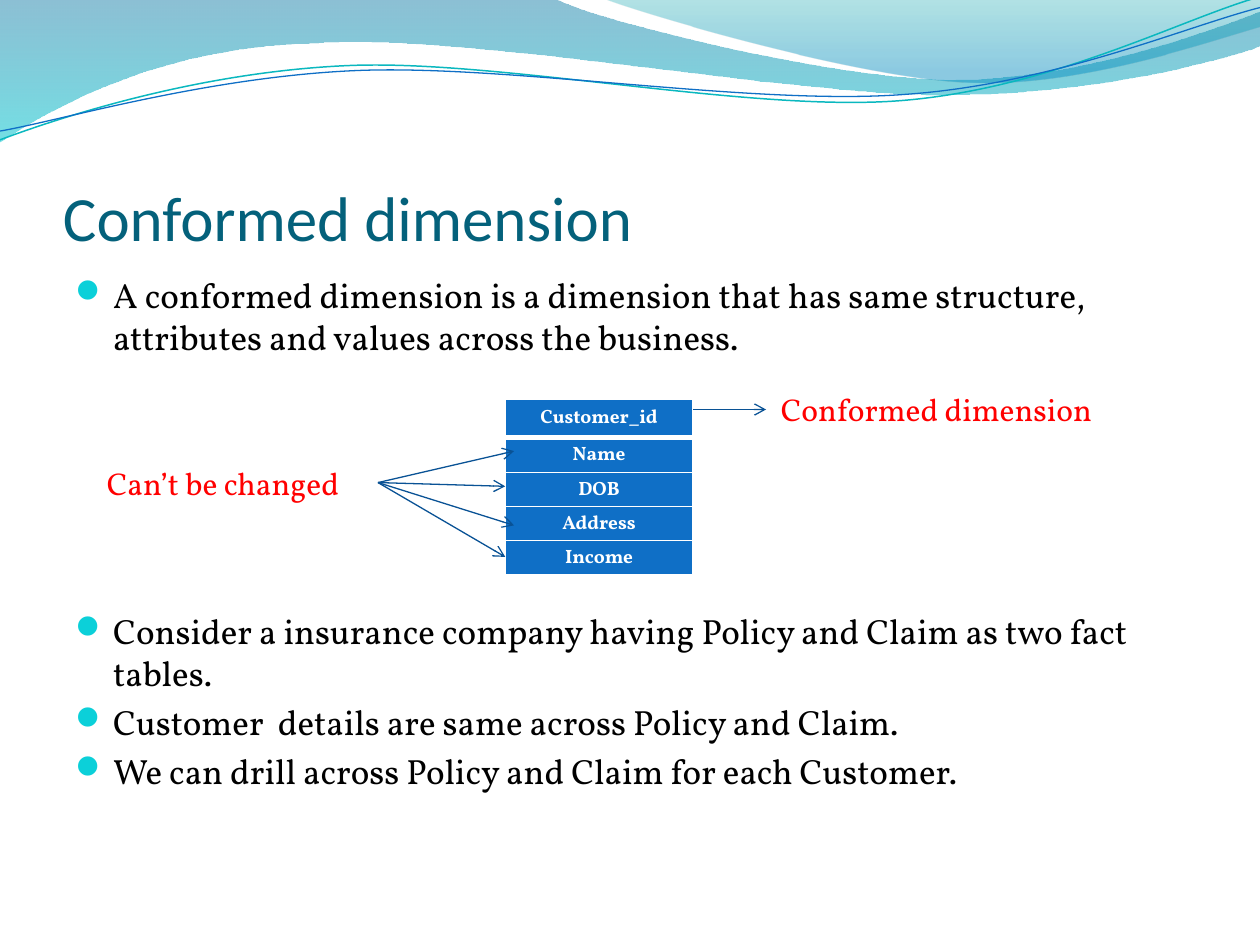
import math

import pptx
import pptx.util
import pptx.dml.color
import pptx.enum.shapes
import pptx.enum.text
import pptx.oxml
import pptx.oxml.ns
from lxml import etree

Inches, Pt = pptx.util.Inches, pptx.util.Pt
RGBColor = pptx.dml.color.RGBColor
ANCHOR, ALIGN = pptx.enum.text.MSO_ANCHOR, pptx.enum.text.PP_ALIGN
qn = pptx.oxml.ns.qn

BLUE, NAVY, TEAL = RGBColor(15, 111, 198), RGBColor(9, 82, 149), RGBColor(10, 184, 191)
TITLE, RED = RGBColor(4, 97, 123), RGBColor(255, 0, 0)
BLACK, WHITE = RGBColor(0, 0, 0), RGBColor(255, 255, 255)

# Content: bullets as (text, points before)
HEADING = "Conformed dimension"
BULLETS = [
    ("A conformed dimension is a dimension that has same structure, "
     "attributes and values across the business.", 4),
    ("Consider a insurance company having Policy and Claim as two fact tables.", 144),
    ("Customer  details are same across Policy and Claim.", 4),
    ("We can drill across Policy and Claim for each Customer.", 4),
]
FIELDS = ["Customer_id", "Name", "DOB", "Address", "Income"]
ROW_HEIGHTS = [0.3, 0.28, 0.27, 0.27, 0.27]
LABELS = [("Conformed dimension", (6.1, 3.05, 2.74, 0.4)),
          ("Can\u2019t be changed", (0.75, 3.63, 2.25, 0.4))]
FAN = (3, 3.83)
ARROWS = [((5.5, 3.25), (6.08, 3.25))] + [
    (FAN, end) for end in [(4.08, 3.58), (4.01, 3.86), (4.08, 4.17), (4.01, 4.42)]]

# Waves: 2 numbers make a straight step, 6 numbers a Bezier step
BANDS = [
    ([(0, 0), (4.4, -0.01), (4.76, 0.17, 6.64, 0.63, 7.58, 0.63),
      (8.53, 0.63, 9.58, 0.26, 10, 0.09), (10.01, 0.36),
      (9.83, 0.44, 8.7, 0.76, 7.46, 0.75), (6.22, 0.75, 3.82, 0.28, 2.57, 0.34),
      (1.29, 0.36, 0.46, 0.83, -0.01, 1.13), (0, 0)],
     [(0, RGBColor(0, 116, 161), 45), (1, RGBColor(0, 198, 207), 55)]),
    ([(4.79, -0.01), (5.09, 0.11, 6.82, 0.62, 7.69, 0.65),
      (8.56, 0.69, 9.61, 0.32, 10, 0.21), (10, 0), (4.79, -0.01)],
     [(0, RGBColor(0, 161, 169), 30), (0.8, RGBColor(0, 139, 191), 45)]),
]
TILT = 357.3
CURVES = [
    ([(0, 1.11), (0.48, 0.93, 1.58, 0.57, 2.77, 0.52), (3.95, 0.47, 5.93, 0.89, 7.13, 0.8),
      (8.33, 0.71, 9.38, 0.15, 9.98, -0.02)], (4.99, 0.575), TEAL, 0.85),
    ([(0, 1.04), (0.47, 0.96, 1.64, 0.61, 2.83, 0.56), (4.03, 0.51, 5.97, 0.84, 7.17, 0.75),
      (8.36, 0.67, 9.41, 0.21, 10, 0.06)], (4.995, 0.59), BLUE, 0.75),
]

prs = pptx.Presentation()
prs.slide_width, prs.slide_height = Inches(10), Inches(7.5)
slide = prs.slides.add_slide(prs.slide_layouts[6])
shapes = slide.shapes


def apply(obj, values):
    for name, value in values.items():
        setattr(obj, name, value)


def turn(point, center, degrees):
    c, s = math.cos(math.radians(degrees)), math.sin(math.radians(degrees))
    dx, dy = point[0] - center[0], point[1] - center[1]
    return center[0] + c * dx - s * dy, center[1] + s * dx + c * dy


def add_wave(steps, close, center=(0, 0), tilt=0):
    points = [turn(step[i:i + 2], center, -tilt)
              for step in steps for i in range(0, len(step), 2)]
    points = [(Inches(x), Inches(y)) for x, y in points]
    fb = shapes.build_freeform(*points[0])
    fb.add_line_segments(points[1:], close=close)
    sp = fb.convert_to_shape()
    # Join each three points of a Bezier step into one curve
    lines = sp._element.spPr.iter(qn("a:lnTo"))
    lines = list(lines)
    for step in steps[1:]:
        count = len(step) // 2
        part, lines = lines[:count], lines[count:]
        if count == 3:
            curve = etree.Element(qn("a:cubicBezTo"))
            part[0].addprevious(curve)
            for ln in part:
                curve.append(ln[0])
                ln.getparent().remove(ln)
    sp.rotation = tilt
    sp.shadow.inherit = False
    return sp


def write(p, text, font):
    r = p.add_run()
    r.text = text
    apply(r.font, {k: v for k, v in font.items() if k != "rgb"})
    r.font.color.rgb = font["rgb"]


def add_text(box, insets, anchor=ANCHOR.TOP):
    tf = shapes.add_textbox(*map(Inches, box)).text_frame
    sides = ("margin_left", "margin_top", "margin_right", "margin_bottom")
    apply(tf, dict(zip(sides, map(Inches, insets)), word_wrap=True, vertical_anchor=anchor))
    return tf


# Wave bands and thin curves
for steps, stops in BANDS:
    sp = add_wave(steps, True)
    sp.line.fill.background()
    sp.fill.gradient()
    sp.fill.gradient_angle = 270
    for stop, (pos, rgb, alpha) in zip(sp.fill.gradient_stops, stops):
        stop.position, stop.color.rgb = pos, rgb
    for clr, (_, _, alpha) in zip(sp._element.spPr.iter(qn("a:srgbClr")), stops):
        etree.SubElement(clr, qn("a:alpha"), val=str(alpha * 1000))
for steps, center, rgb, width in CURVES:
    sp = add_wave(steps, False, center, TILT)
    sp.fill.background()
    sp.line.color.rgb, sp.line.width = rgb, Pt(width)

# Title
tf = add_text((0.5, 0.77, 9, 1.25), (0, 0.05, 0, 0), ANCHOR.BOTTOM)
write(tf.paragraphs[0], HEADING, {"name": "Calibri", "size": Pt(36), "rgb": TITLE})

# Bullets
tf = add_text((0.5, 2.12, 9, 4.8), (0.1, 0.05, 0.1, 0.05))
for i, (text, before) in enumerate(BULLETS):
    p = tf.add_paragraph() if i else tf.paragraphs[0]
    p.space_before = Pt(before)
    pPr = p._p.get_or_add_pPr()
    pPr.set("marL", str(Inches(0.3)))
    pPr.set("indent", str(-Inches(0.3)))
    etree.SubElement(etree.SubElement(pPr, qn("a:buClr")), qn("a:srgbClr"), val="0BD0D9")
    etree.SubElement(pPr, qn("a:buSzPct"), val="95000")
    etree.SubElement(pPr, qn("a:buFont"), typeface="Wingdings 2", charset="2")
    etree.SubElement(pPr, qn("a:buChar"), char="\uf097")
    write(p, text, {"name": "Vollkorn", "size": Pt(20), "rgb": BLACK})

# Customer table
table = shapes.add_table(len(FIELDS), 1, Inches(4.01), Inches(3.17), Inches(1.49),
                         Inches(sum(ROW_HEIGHTS))).table
for i, (field, height) in enumerate(zip(FIELDS, ROW_HEIGHTS)):
    table.rows[i].height = Inches(height)
    cell = table.cell(i, 0)
    edge = Inches(0.01)
    apply(cell, {"margin_left": edge, "margin_top": edge, "margin_right": edge,
                 "margin_bottom": 0, "vertical_anchor": ANCHOR.MIDDLE})
    p = cell.text_frame.paragraphs[0]
    p.alignment = ALIGN.CENTER
    write(p, field, {"name": "Vollkorn", "size": Pt(11), "bold": True, "rgb": WHITE})
    tcPr = cell._tc.get_or_add_tcPr()
    widths = {"L": 1, "R": 1, "T": 3 if i == 1 else 1, "B": 3 if i == 0 else 1}
    for side, width in widths.items():
        ln = etree.SubElement(tcPr, qn("a:ln" + side), w=str(Pt(width)))
        etree.SubElement(etree.SubElement(ln, qn("a:solidFill")), qn("a:srgbClr"), val="FFFFFF")
    cell.fill.solid()
    cell.fill.fore_color.rgb = BLUE

# Arrows and their labels
for start, end in ARROWS:
    line = shapes.add_connector(pptx.enum.shapes.MSO_CONNECTOR.STRAIGHT,
                                *map(Inches, start + end))
    line.line.color.rgb, line.line.width = NAVY, Pt(0.75)
    etree.SubElement(line.line._get_or_add_ln(), qn("a:tailEnd"), type="arrow")
    etree.SubElement(line._element.spPr, qn("a:effectLst"))
for text, box in LABELS:
    tf = add_text(box, (0.1, 0.05, 0.1, 0.05))
    write(tf.paragraphs[0], text, {"name": "Vollkorn", "size": Pt(18), "rgb": RED})

prs.save("out.pptx")
